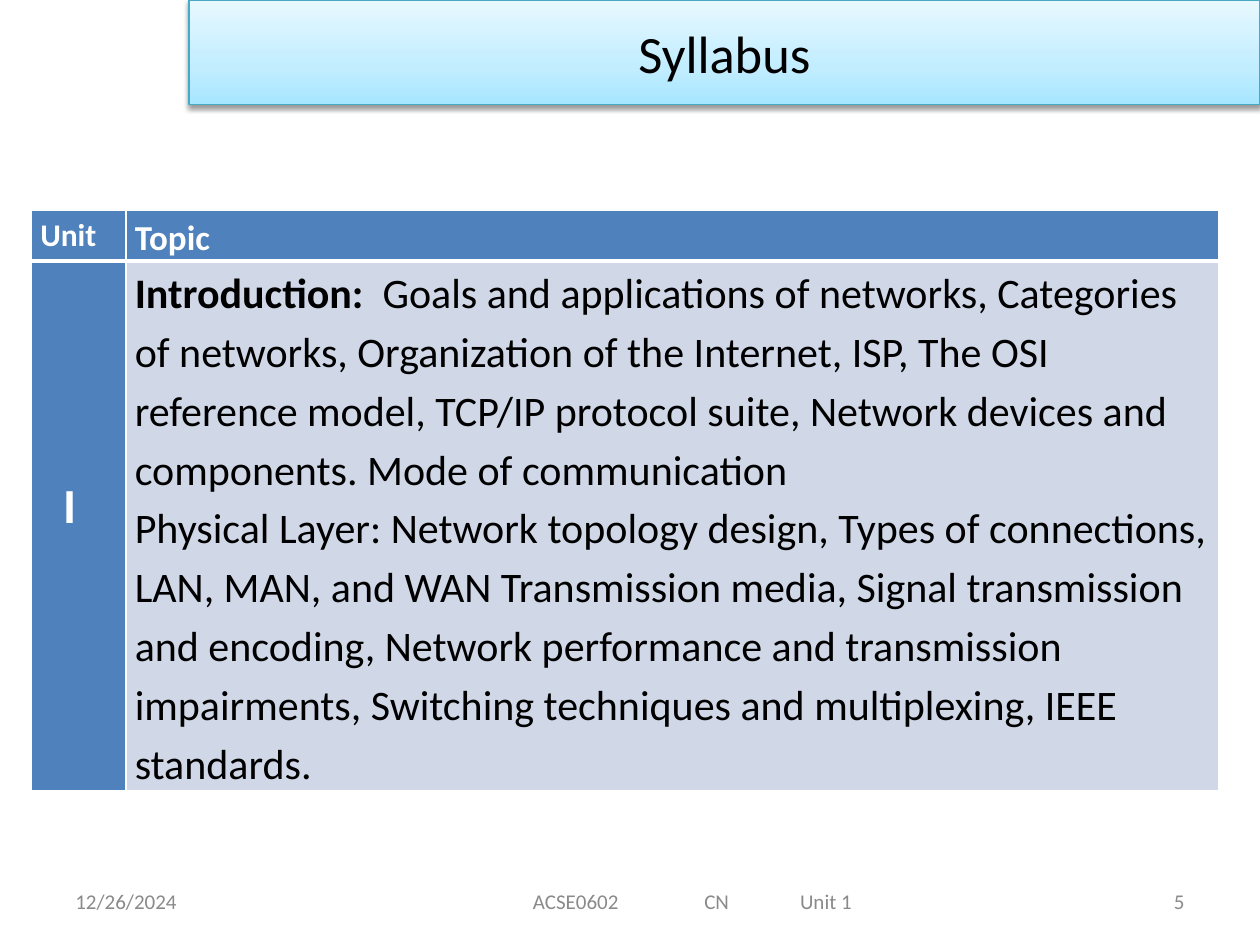
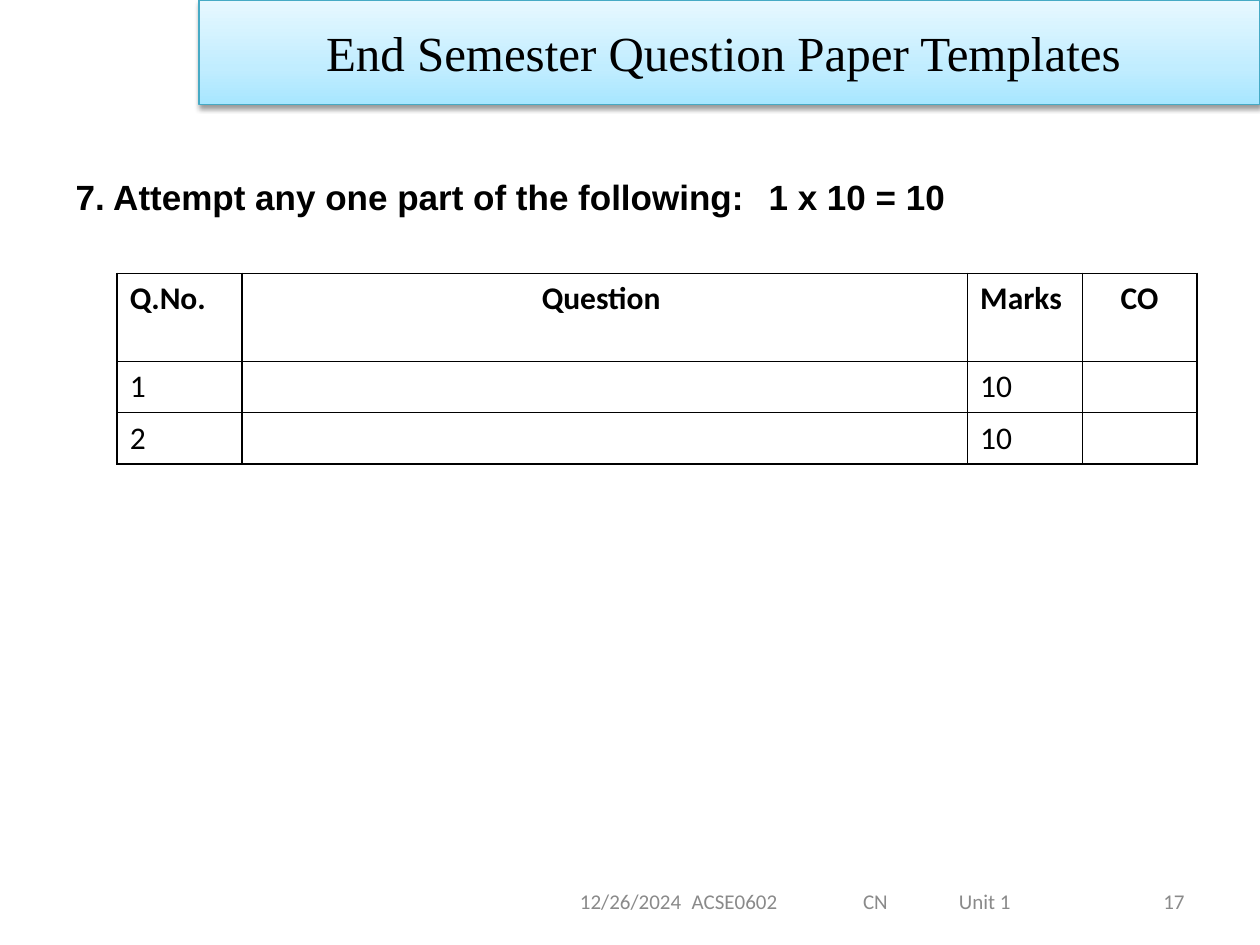
from dataclasses import dataclass

from lxml import etree
from pptx import Presentation
from pptx.dml.color import RGBColor
from pptx.enum.text import MSO_ANCHOR, PP_ALIGN
from pptx.oxml import parse_xml
from pptx.oxml.ns import nsdecls, qn
from pptx.util import Inches, Pt

LEFT, CENTER, RIGHT = PP_ALIGN.LEFT, PP_ALIGN.CENTER, PP_ALIGN.RIGHT
TOP, MIDDLE = MSO_ANCHOR.TOP, MSO_ANCHOR.MIDDLE
TITLE_AND_CONTENT, TITLE_ONLY = 1, 5


@dataclass(frozen=True)
class Theme:
    black: str = "000000"
    white: str = "FFFFFF"
    header: str = "4F81BD"
    pale: str = "D0D8E8"
    gray: str = "8A8A8A"
    band_line: str = "46AAC5"
    band_stops: tuple = ((0, "A7E6FF"), (35, "C1EDFF"), (100, "E7F8FF"))
    sans: str = "Calibri"
    serif: str = "Times New Roman"
    body: str = "Arial"
    unit: int = 28
    syllabus: int = 24
    heading: int = 20
    cell: int = 18
    footer: int = 12


THEME = Theme()
DATE = "12/26/2024"
COURSE = "ACSE0602\tCN\tUnit 1"
COURSE_TABS = ((1.36, "l"), (2.12, "l"))
FOOTER_TOP, FOOTER_HEIGHT = 6.95, 0.4


def add_run(p, text, size, color=THEME.black, bold=False, font=THEME.sans):
    r = p.add_run()
    r.text = text
    r.font.name = font
    r.font.size = Pt(size)
    r.font.bold = bold
    r.font.color.rgb = RGBColor.from_string(color)
    return r


def add_tabs(p, stops):
    tabs = etree.SubElement(p._p.get_or_add_pPr(), qn("a:tabLst"))
    for pos, align in stops:
        etree.SubElement(tabs, qn("a:tab"), pos=str(Inches(pos)), algn=align)


def place(s, left, top, width, height):
    s.left, s.top = Inches(left), Inches(top)
    s.width, s.height = Inches(width), Inches(height)


def add_title_band(slide, text, left, size, font):
    s = slide.shapes.title
    place(s, left, 0, 10 - left, 0.83)
    s.line.color.rgb = RGBColor.from_string(THEME.band_line)
    s.line.width = Pt(0.75)
    stops = "".join(
        f'<a:gs pos="{pos * 1000}"><a:srgbClr val="{color}"/></a:gs>'
        for pos, color in THEME.band_stops
    )
    ln = s._element.spPr.find(qn("a:ln"))
    ln.addprevious(parse_xml(
        f'<a:gradFill {nsdecls("a")} rotWithShape="1"><a:gsLst>{stops}</a:gsLst>'
        '<a:lin ang="16200000" scaled="0"/></a:gradFill>'
    ))
    ln.addnext(parse_xml(
        f'<a:effectLst {nsdecls("a")}>'
        '<a:outerShdw blurRad="40000" dist="20000" dir="5400000" rotWithShape="0">'
        f'<a:srgbClr val="{THEME.black}"><a:alpha val="38000"/></a:srgbClr>'
        '</a:outerShdw></a:effectLst>'
    ))
    tf = s.text_frame
    tf.vertical_anchor = MIDDLE
    p = tf.paragraphs[0]
    p.alignment = CENTER
    add_run(p, text, size, font=font)


def add_footer_text(slide, text, left, width, align=LEFT, inset=0.1, tabs=()):
    s = slide.shapes.add_textbox(
        Inches(left), Inches(FOOTER_TOP), Inches(width), Inches(FOOTER_HEIGHT)
    )
    tf = s.text_frame
    tf.word_wrap = True
    tf.vertical_anchor = MIDDLE
    tf.margin_left = Inches(inset)
    p = tf.paragraphs[0]
    if tabs:
        add_tabs(p, tabs)
    p.alignment = align
    add_run(p, text, THEME.footer, THEME.gray)


def add_footer(slide, number, date_box, date_align, course_box, course_inset):
    add_footer_text(slide, DATE, *date_box, date_align)
    add_footer_text(slide, COURSE, *course_box, inset=course_inset, tabs=COURSE_TABS)
    add_footer_text(slide, number, 7.17, 2.33, RIGHT)


def add_grid(slide, left, top, widths, heights):
    s = slide.shapes.add_table(
        len(heights), len(widths), Inches(left), Inches(top),
        Inches(sum(widths)), Inches(sum(heights)),
    )
    table = s.table
    table.first_row = table.horz_banding = False
    for column, width in zip(table.columns, widths):
        column.width = Inches(width)
    for row, height in zip(table.rows, heights):
        row.height = Inches(height)
    return table


def style_cell(cell, fill, border, top=1, bottom=1):
    cell.fill.solid()
    cell.fill.fore_color.rgb = RGBColor.from_string(fill)
    cell.vertical_anchor = TOP
    tcPr = cell._tc.get_or_add_tcPr()
    sides = (("lnL", 1), ("lnR", 1), ("lnT", top), ("lnB", bottom))
    for i, (side, width) in enumerate(sides):
        tcPr.insert(i, parse_xml(
            f'<a:{side} {nsdecls("a")} w="{Pt(width)}"><a:solidFill>'
            f'<a:srgbClr val="{border}"/></a:solidFill></a:{side}>'
        ))


def set_margins(cell, side, top, left=None):
    cell.margin_left = Inches(side if left is None else left)
    cell.margin_right = Inches(side)
    cell.margin_top = Inches(top)
    cell.margin_bottom = 0


def add_syllabus_table(slide):
    table = add_grid(slide, 0.25, 1.67, (0.75, 8.67), (0.4, 4.2))
    for row in range(2):
        for col in range(2):
            cell = table.cell(row, col)
            fill = THEME.pale if row and col else THEME.header
            style_cell(cell, fill, THEME.white, 3 if row else 1, 1 if row else 3)
            set_margins(cell, 0.07, 0)
            cell.text_frame.paragraphs[0].line_spacing = 1.15
    labels = (
        (0, 0, "Unit", THEME.cell),
        (0, 1, "Topic", THEME.heading),
        (1, 0, "I", THEME.unit),
    )
    for row, col, text, size in labels:
        p = table.cell(row, col).text_frame.paragraphs[0]
        add_run(p, text, size, THEME.white, True)
    set_margins(table.cell(1, 0), 0.07, 1.64, left=0.25)

    p = table.cell(1, 1).text_frame.paragraphs[0]
    add_run(p, "Introduction:", THEME.syllabus, bold=True)
    gap = add_run(p, " ", THEME.syllabus, bold=True)
    gap.font._element.set("spc", "540")
    add_run(
        p,
        "Goals and applications of networks, Categories of networks, "
        "Organization of the Internet, ISP, The OSI reference model, "
        "TCP/IP protocol suite, Network devices and components. "
        "Mode of communication",
        THEME.syllabus,
    )
    p.add_line_break()
    add_run(
        p,
        "Physical Layer: Network topology design, Types of connections, "
        "LAN, MAN, and WAN Transmission media, Signal transmission and "
        "encoding, Network performance and transmission impairments, "
        "Switching techniques and multiplexing, IEEE standards.",
        THEME.syllabus,
    )


def add_question_heading(slide):
    s = slide.placeholders[1]
    place(s, 0.5, 1.34, 9, 5.2)
    p = s.text_frame.paragraphs[0]
    pPr = p._p.get_or_add_pPr()
    pPr.set("marL", "0")
    pPr.set("indent", "0")
    etree.SubElement(pPr, qn("a:buNone"))
    add_tabs(p, ((8.77, "r"),))
    p.space_before = Pt(0)
    add_run(
        p, "7. Attempt any one part of the following:\t1 x 10 = 10",
        THEME.heading, bold=True, font=THEME.body,
    )


def add_question_table(slide):
    rows = (
        ("Q.No.", "Question ", "Marks", "CO"),
        ("1", "", "10", ""),
        ("2", "", "10", ""),
    )
    table = add_grid(slide, 0.93, 2.17, (0.99, 5.76, 0.91, 0.91), (0.7, 0.4, 0.4))
    for i, row in enumerate(rows):
        for j, text in enumerate(row):
            cell = table.cell(i, j)
            style_cell(cell, THEME.white, THEME.black)
            p = cell.text_frame.paragraphs[0]
            p.alignment = CENTER if j in (1, 3) else LEFT
            if text:
                add_run(p, text, THEME.cell, bold=i == 0)


def build_syllabus(prs):
    slide = prs.slides.add_slide(prs.slide_layouts[TITLE_ONLY])
    add_title_band(slide, "Syllabus", 1.5, 30, THEME.sans)
    add_syllabus_table(slide)
    add_footer(slide, "5", (0.5, 2.33), LEFT, (2.75, 5.5), 1.48)


def build_question_paper(prs):
    slide = prs.slides.add_slide(prs.slide_layouts[TITLE_AND_CONTENT])
    add_title_band(slide, "End Semester Question Paper Templates ", 1.58, 28, THEME.serif)
    add_question_heading(slide)
    add_question_table(slide)
    add_footer(slide, "17", (3.42, 3.17), CENTER, (3.42, 4.7), 2.07)


def main():
    prs = Presentation()
    prs.slide_width, prs.slide_height = Inches(10), Inches(7.5)
    build_syllabus(prs)
    build_question_paper(prs)
    prs.save("out.pptx")


if __name__ == "__main__":
    main()
